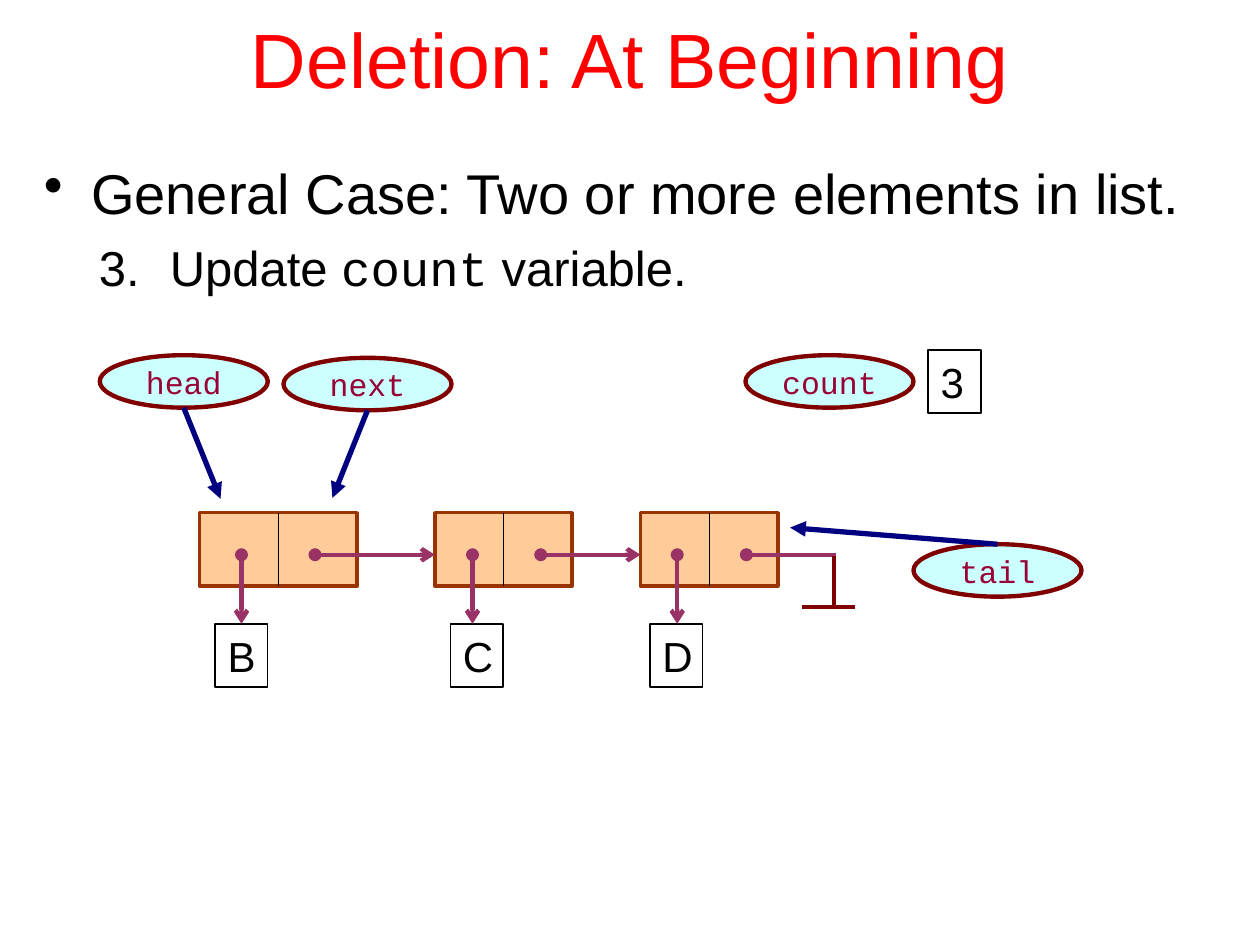
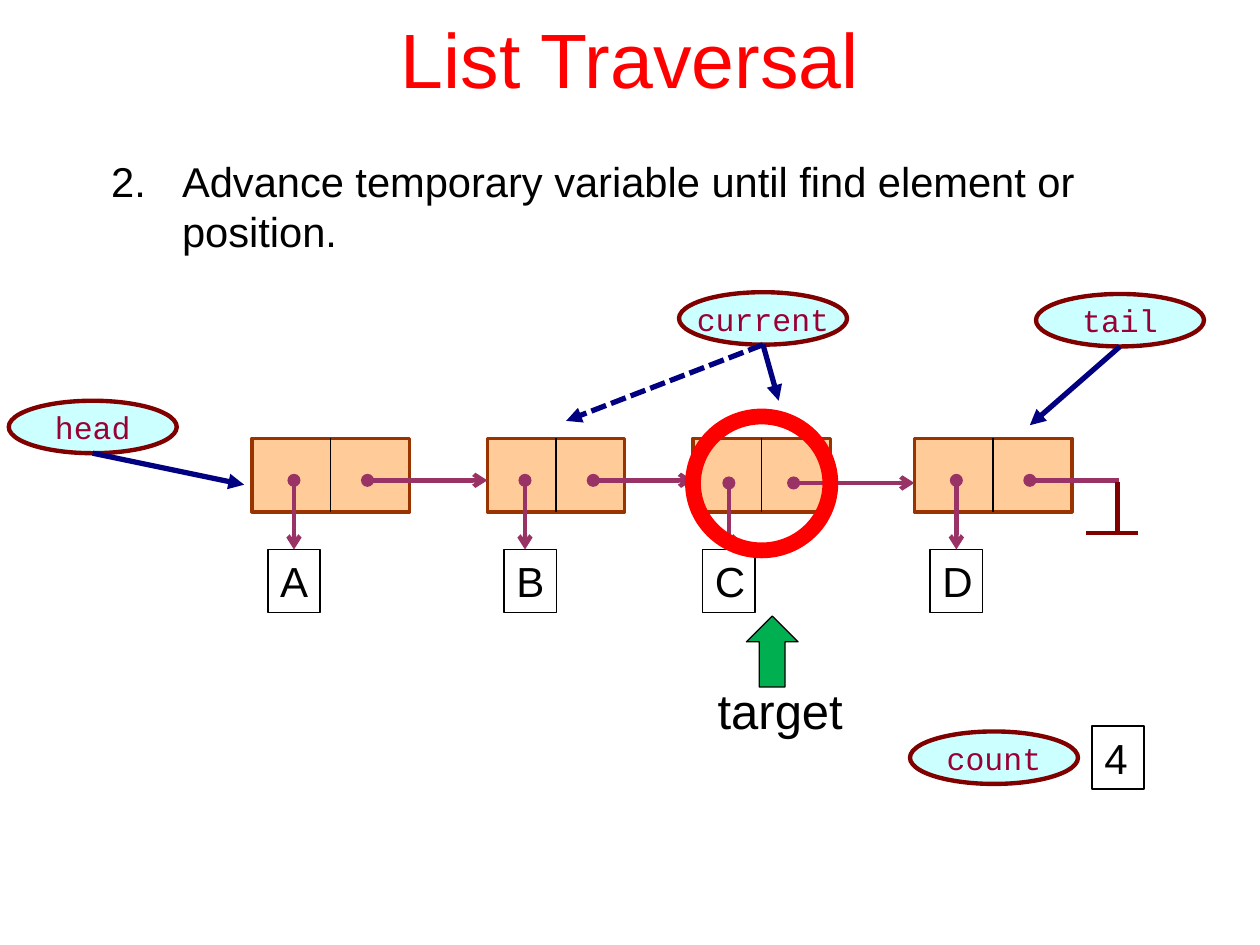
from dataclasses import dataclass

from lxml import etree
from pptx import Presentation
from pptx.dml.color import RGBColor
from pptx.enum import dml, shapes, text
from pptx.oxml.ns import qn
from pptx.util import Pt


# Content: positions in points
@dataclass
class Node:
    value: str
    left: float
    width: float
    box_dx: float    # value box, from the node's left edge
    value_dx: float  # dot of the value arrow
    link_dx: float   # dot of the link to the next node
    drop: float = 0  # extra depth of both dots


@dataclass
class Variable:
    name: str
    left: float
    top: float
    target: tuple = None
    old_target: tuple = None
    from_top: bool = False


SLIDES = [
    dict(
        title="Deletion: At Beginning",
        body=(18, 87, 684, 88),
        # (marker, size, [(text, is code)])
        points=[
            ("•", 32, [("General Case: Two or more elements in list.", False)]),
            (3, 28, [("Update ", False), ("count", True), (" variable.", False)]),
        ],
        nodes_top=293,
        nodes=[
            Node("B", 114, 90, 9, 24, 66),
            Node("C", 248.5, 78.5, 9, 21.5, 60.5),
            Node("D", 366, 78.5, 5.5, 21, 60.5),
        ],
        variables=[
            Variable("head", 57, 203, (126, 285)),
            Variable("next", 162, 204.5, (190, 284.5)),
            Variable("tail", 522, 311, (451.5, 301.5), from_top=True),
            Variable("count", 426, 203),
        ],
        count=("3", 530.5, 200),
    ),
    dict(
        title="List Traversal",
        body=(25, 85.5, 684, 65),
        points=[
            (2, 23.8, [("Advance temporary variable until find element or position.",
                        False)]),
        ],
        nodes_top=250.5,
        nodes=[
            Node("A", 144, 90, 9, 24, 66),
            Node("B", 278.5, 78.5, 9.5, 21.5, 60.5),
            Node("C", 396, 78.5, 5.5, 20.5, 57.5, 1.5),
            Node("D", 522.5, 90, 9, 24, 66),
        ],
        variables=[
            Variable("head", 5, 229, (139.5, 277)),
            Variable("tail", 592, 168, (588.5, 243)),
            Variable("count", 520, 418),
            Variable("current", 388, 167, (445, 229), old_target=(323.5, 240.5)),
        ],
        count=("4", 624, 415),
        target=dict(label=("target", 403, 385.5, 87, 41),
                    arrow=(426.5, 352, 29.5, 40.5),
                    ring=(396, 238, 78.5, 76.5)),
    ),
]


class Theme:
    font, code_font = "Arial", "Courier New"
    title, ink, name = "FF0000", "000000", "990033"
    node, node_edge = "FFCC99", "993300"
    oval, oval_edge = "CCFFFF", "800000"
    link, pointer = "993366", "000080"
    ring, marker = "FF0000", "00B050"
    title_size, value_size, name_size, label_size = 44, 24, 18, 28


TITLE_AREA = (54, -12, 612, 90)
NODE_HEIGHT, DOT_DY, BOX_DY = 42, 24, 63.5
BOX_SIZE, OVAL_SIZE = (30, 36), (96, 30)
NULL_RUN, NULL_DROP, NULL_BAR = 50, 30, 30


# Helpers
def color(code):
    return RGBColor.from_string(code)


def style_run(run, size, code, font=Theme.font):
    run.font.size, run.font.name = Pt(size), font
    run.font.color.rgb = color(code)


def write(frame, words, size, code, font=Theme.font, align=text.PP_ALIGN.LEFT,
          anchor=text.MSO_ANCHOR.TOP, wrap=True):
    frame.text = words
    frame.word_wrap, frame.vertical_anchor = wrap, anchor
    frame.paragraphs[0].alignment = align
    style_run(frame.paragraphs[0].runs[0], size, code, font)


def add_text_area(slide, area):
    return slide.shapes.add_textbox(*map(Pt, area)).text_frame


def add_figure(slide, kind, area, fill, edge, weight):
    figure = slide.shapes.add_shape(kind, *map(Pt, area))
    figure.shadow.inherit = False
    if fill:
        figure.fill.solid()
        figure.fill.fore_color.rgb = color(fill)
    else:
        figure.fill.background()
    figure.line.color.rgb = color(edge)
    figure.line.width = Pt(weight)
    return figure


def add_line(slide, start, end, code, weight, head=None, tail=None, dashed=False):
    line = slide.shapes.add_connector(shapes.MSO_CONNECTOR.STRAIGHT,
                                      *map(Pt, (*start, *end)))
    line.line.color.rgb = color(code)
    line.line.width = Pt(weight)
    if dashed:
        line.line.dash_style = dml.MSO_LINE.SQUARE_DOT
    outline = line.line._get_or_add_ln()
    for tag, end_type in (("a:headEnd", head), ("a:tailEnd", tail)):
        if end_type:
            etree.SubElement(outline, qn(tag), type=end_type)
    etree.SubElement(line._element.spPr, qn("a:effectLst"))


def add_value_box(slide, value, left, top):
    box = add_figure(slide, shapes.MSO_SHAPE.RECTANGLE, (left, top, *BOX_SIZE),
                     None, Theme.ink, 1)
    write(box.text_frame, value, Theme.value_size, Theme.ink)


def set_marker(paragraph, marker):
    props = paragraph._p.get_or_add_pPr()
    numbered = isinstance(marker, int)
    margin, hang = (72, 40.5) if numbered else (27, 27)
    props.set("marL", str(Pt(margin)))
    props.set("indent", str(-Pt(hang)))
    if numbered:
        etree.SubElement(props, qn("a:buFont"), typeface=Theme.font)
        etree.SubElement(props, qn("a:buAutoNum"), type="arabicPeriod",
                         startAt=str(marker))
    else:
        etree.SubElement(props, qn("a:buChar"), char=marker)


# Parts of a slide
def add_points(slide, area, points):
    frame = add_text_area(slide, area)
    frame.word_wrap = True
    for index, (marker, size, pieces) in enumerate(points):
        point = frame.add_paragraph() if index else frame.paragraphs[0]
        if index:
            point.space_before = Pt(7)
        set_marker(point, marker)
        for words, is_code in pieces:
            run = point.add_run()
            run.text = words
            style_run(run, size, Theme.ink,
                      Theme.code_font if is_code else Theme.font)


def add_null(slide, x, y):
    rail, floor = x + NULL_RUN, y + NULL_DROP
    bar = rail - 3 - NULL_BAR / 2
    add_line(slide, (x, y), (rail + 1, y), Theme.link, 2.5, head="oval")
    add_line(slide, (rail, y + 1), (rail, floor), Theme.oval_edge, 2.5)
    add_line(slide, (bar, floor), (bar + NULL_BAR, floor), Theme.oval_edge, 2.5)


def add_linked_list(slide, nodes, top):
    for node in nodes:
        add_figure(slide, shapes.MSO_SHAPE.RECTANGLE,
                   (node.left, top, node.width, NODE_HEIGHT),
                   Theme.node, Theme.node_edge, 2)
    for node, following in zip(nodes, nodes[1:] + [None]):
        middle, dot_y = node.left + node.width / 2, top + DOT_DY + node.drop
        value_x, link_x = node.left + node.value_dx, node.left + node.link_dx
        add_line(slide, (middle, top), (middle, top + NODE_HEIGHT), Theme.ink, 0.75)
        add_value_box(slide, node.value, node.left + node.box_dx, top + BOX_DY)
        add_line(slide, (value_x, dot_y), (value_x, top + BOX_DY), Theme.link, 2.5,
                 head="oval", tail="arrow")
        if following:
            add_line(slide, (link_x, dot_y), (following.left, dot_y), Theme.link, 2.5,
                     head="oval", tail="arrow")
        else:
            add_null(slide, link_x, dot_y)


def add_variable(slide, variable):
    width, height = OVAL_SIZE
    oval = add_figure(slide, shapes.MSO_SHAPE.OVAL,
                      (variable.left, variable.top, width, height),
                      Theme.oval, Theme.oval_edge, 2.5)
    write(oval.text_frame, variable.name, Theme.name_size, Theme.name,
          Theme.code_font, text.PP_ALIGN.CENTER, text.MSO_ANCHOR.MIDDLE, wrap=False)
    start = (variable.left + width / 2,
             variable.top + (0 if variable.from_top else height))
    for goal, dashed in ((variable.target, False), (variable.old_target, True)):
        if goal:
            add_line(slide, start, goal, Theme.pointer, 3, tail="triangle",
                     dashed=dashed)


def add_target(slide, label, arrow, ring):
    words, *area = label
    write(add_text_area(slide, area), words, Theme.label_size, Theme.ink)
    add_figure(slide, shapes.MSO_SHAPE.UP_ARROW, arrow, Theme.marker, Theme.ink, 0.75)
    add_figure(slide, shapes.MSO_SHAPE.OVAL, ring, None, Theme.ring, 9)


def main():
    deck = Presentation()
    deck.slide_width, deck.slide_height = Pt(720), Pt(540)
    for content in SLIDES:
        slide = deck.slides.add_slide(deck.slide_layouts[6])
        write(add_text_area(slide, TITLE_AREA), content["title"], Theme.title_size,
              Theme.title, align=text.PP_ALIGN.CENTER, anchor=text.MSO_ANCHOR.MIDDLE)
        add_points(slide, content["body"], content["points"])
        add_linked_list(slide, content["nodes"], content["nodes_top"])
        for variable in content["variables"]:
            add_variable(slide, variable)
        add_value_box(slide, *content["count"])
        if "target" in content:
            add_target(slide, **content["target"])
    deck.save("out.pptx")


if __name__ == "__main__":
    main()
